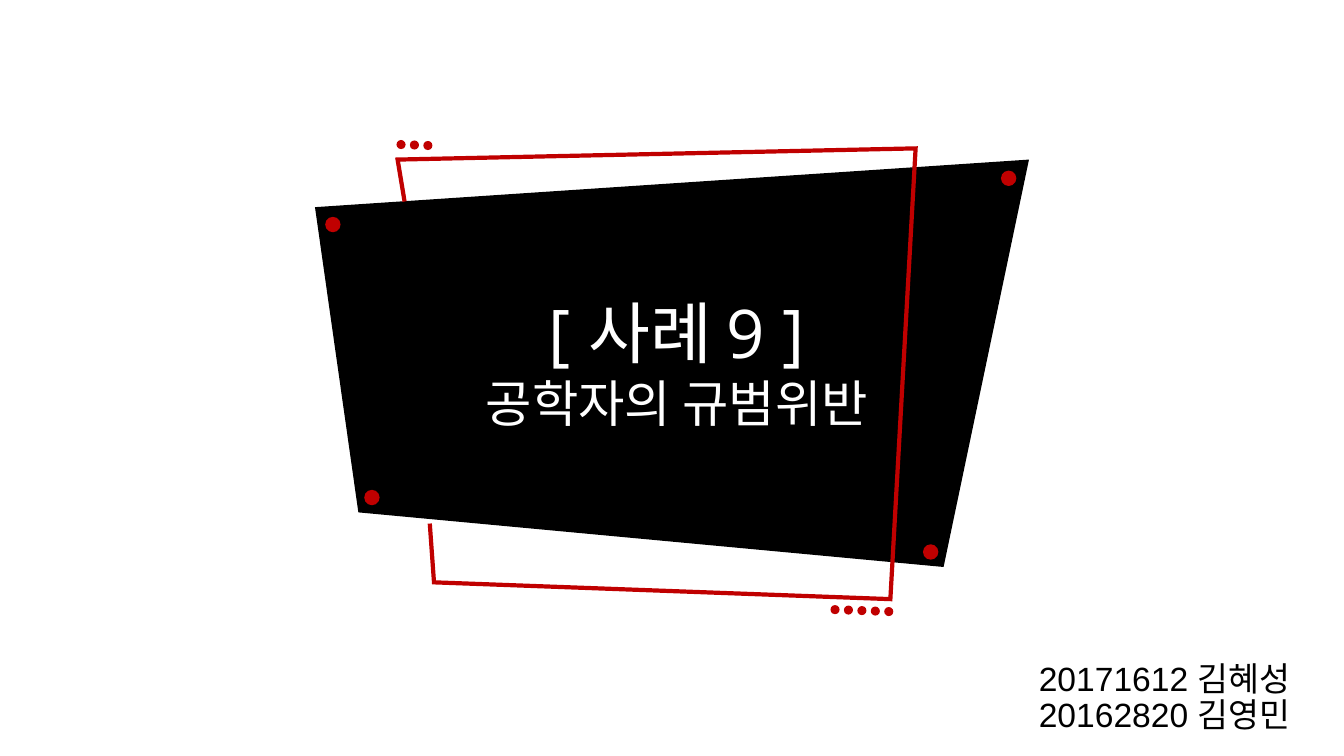
from lxml import etree
from pptx import Presentation
from pptx.dml.color import RGBColor
from pptx.enum.shapes import MSO_SHAPE as SHAPE
from pptx.enum.text import MSO_ANCHOR as ANCHOR, MSO_AUTO_SIZE as FIT, PP_ALIGN as ALIGN
from pptx.oxml.ns import qn
from pptx.util import Pt

COLORS = {name: RGBColor.from_string(code) for name, code in {
    "panel": "000000", "accent": "C00000", "title": "FFFFFF", "names": "000000"}.items()}

deck = Presentation()
deck.slide_width, deck.slide_height = Pt(960), Pt(540)
page = deck.slides.add_slide(deck.slide_layouts[6])


def add_outline(points, closed):
    builder = page.shapes.build_freeform(*points[0], scale=Pt(1))
    builder.add_line_segments(points[1:], close=closed)
    outline = builder.convert_to_shape()
    outline.shadow.inherit = False
    return outline


def add_text(left, top, width, height, lines, font, color, align, line_spacing):
    box = page.shapes.add_textbox(Pt(left), Pt(top), Pt(width), Pt(height))
    frame = box.text_frame
    frame.word_wrap = False
    frame.auto_size = FIT.SHAPE_TO_FIT_TEXT
    frame.vertical_anchor = ANCHOR.TOP
    for index, (size, text) in enumerate(lines):
        para = frame.paragraphs[0] if index == 0 else frame.add_paragraph()
        para.alignment = align
        para.line_spacing = line_spacing
        span = para.add_run()
        span.text = text
        span.font.name = font
        span.font.size = Pt(size)
        span.font.color.rgb = color


# Black panel
panel = add_outline([(224.8, 148.5), (256.4, 366), (674, 405.3), (735.2, 114)], True)
panel.fill.solid()
panel.fill.fore_color.rgb = COLORS["panel"]
panel.line.fill.background()

# Red frame with sharp corners, open where it passes behind the panel
frame_line = add_outline([(288.8, 144), (284.5, 114), (654.2, 105.8),
                          (636.5, 428.5), (309.6, 416.2), (306.7, 373.7)], False)
frame_line.fill.background()
frame_line.line.color.rgb = COLORS["accent"]
frame_line.line.width = Pt(3)
stroke = frame_line._element.spPr.find(qn("a:ln"))
etree.SubElement(stroke, qn("a:miter")).set("lim", "800000")

# Red dots: panel corners, then the rows at the frame's top and bottom
corner_dots = [(232.3, 154.9, 11), (260.2, 349.9, 11), (659.3, 388.8, 11), (715, 121.9, 11)]
bottom_dots = [(593.2 + 9.6 * step, 432.2 + 0.35 * step, 6.5) for step in range(5)]
top_dots = [(283.2 + 9.6 * step, 100 + 0.35 * step, 6.5) for step in range(3)]
for left, top, size in corner_dots + bottom_dots + top_dots:
    dot = page.shapes.add_shape(SHAPE.OVAL, Pt(left), Pt(top), Pt(size), Pt(size))
    dot.shadow.inherit = False
    dot.fill.solid()
    dot.fill.fore_color.rgb = COLORS["accent"]
    dot.line.fill.background()

# Title
add_text(324.7, 204.5, 317.5, 108.7, [(48, "[ 사례 9 ]"), (36, "공학자의 규범위반")],
         "Open Sans", COLORS["title"], ALIGN.CENTER, 1.0)

# Student numbers and names
add_text(726.5, 469.4, 202.3, 59.8, [(24, "20171612 김혜성"), (24, "20162820 김영민")],
         "Arial", COLORS["names"], ALIGN.RIGHT, 0.9)

deck.save("out.pptx")
